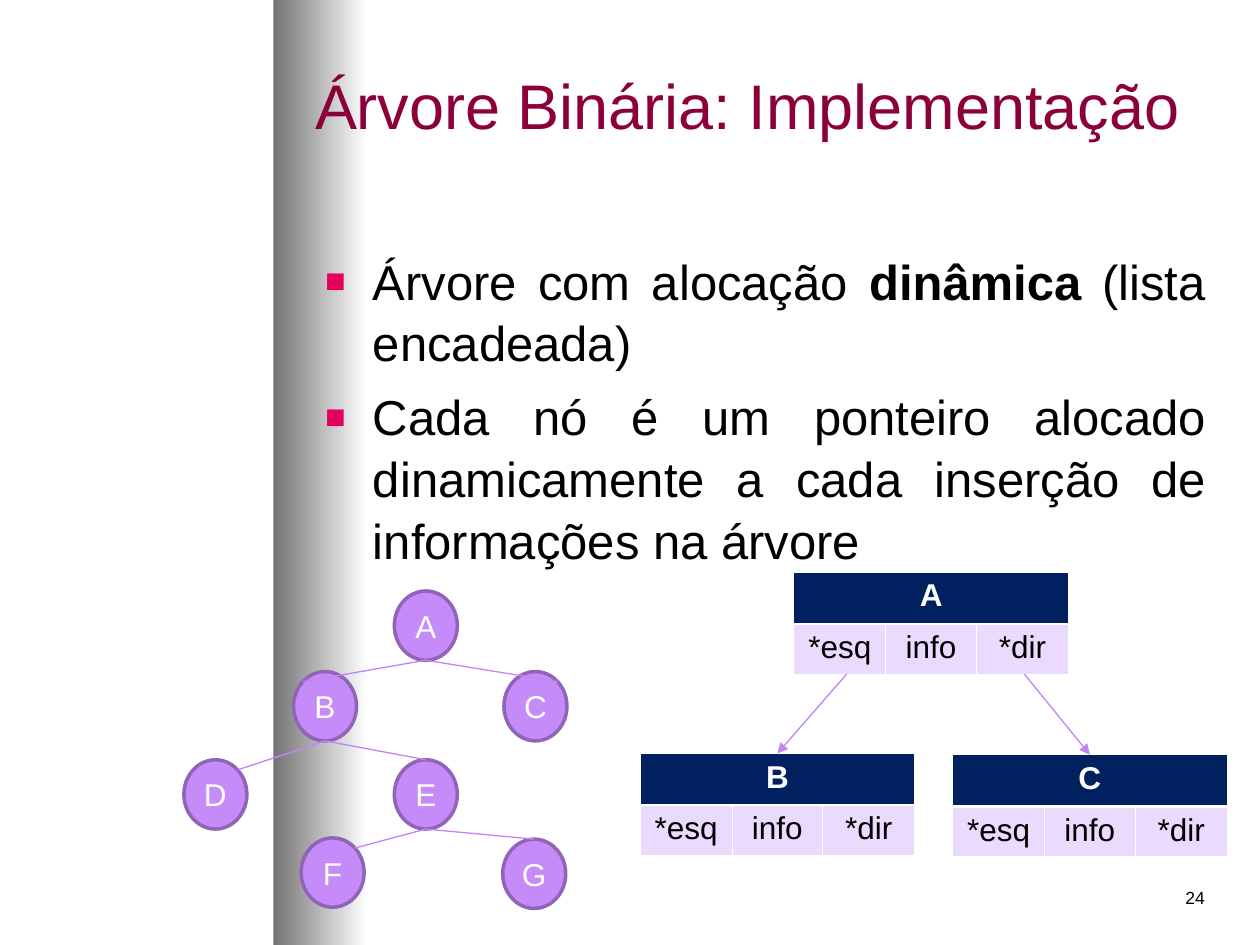
import lxml.etree
import pptx
import pptx.dml.color
import pptx.enum.shapes
import pptx.enum.text
import pptx.oxml.ns
import pptx.util

Inches, Pt, qn = pptx.util.Inches, pptx.util.Pt, pptx.oxml.ns.qn
ALIGN, ANCHOR = pptx.enum.text.PP_ALIGN, pptx.enum.text.MSO_ANCHOR
SHAPE = pptx.enum.shapes.MSO_SHAPE

COLORS = {
    "title": "8C0039", "text": "000000", "bullet": "E4005C", "white": "FFFFFF",
    "band": "747474", "node": "C58BF9", "node_line": "9065B7", "link": "C185F6",
    "header": "002060", "cell": "EADAFD",
}
FONT = "Arial"

TITLE = "Árvore Binária: Implementação"
BULLETS = [  # each item is a list of (text, bold)
    [("Árvore com alocação ", False), ("dinâmica", True), (" (lista encadeada)", False)],
    [("Cada nó é um ponteiro alocado dinamicamente a cada inserção de "
      "informações na árvore", False)],
]
PAGE_NUMBER = "24"

NODE_W, NODE_H = 0.5, 0.55
NODES = {  # left, top
    "A": (3.13, 4.69), "B": (2.33, 5.33), "C": (4, 5.33), "D": (1.46, 6.03),
    "E": (3.13, 6.03), "F": (2.39, 6.65), "G": (3.99, 6.66),
}
EDGES = [  # parent, child, where the child is met: -1 upper left, 0 top, 1 upper right
    ("A", "B", -1), ("A", "C", 1), ("B", "D", 1),
    ("B", "E", 0), ("E", "F", 1), ("E", "G", 0),
]

FIELDS = ["*esq", "info", "*dir"]
COL_WIDTHS, ROW_HEIGHTS = [0.73, 0.72, 0.73], [0.41, 0.4]
RECORDS = {"A": (6.3, 4.54), "B": (5.08, 5.98), "C": (7.56, 5.99)}
POINTERS = [("B", 0.42), ("C", 1.83)]  # target, start measured from the left of A


def rgb(name):
    return pptx.dml.color.RGBColor.from_string(COLORS[name])


def style(font, size, color, bold=False):
    font.name, font.size, font.bold = FONT, Pt(size), bold
    font.color.rgb = rgb(color)


def place(sp, left, top, width, height):
    sp.left, sp.top, sp.width, sp.height = map(Inches, (left, top, width, height))


def add_band(slide):
    sp = slide.shapes.add_shape(SHAPE.RECTANGLE, Inches(2.17), 0, Inches(0.75), Inches(7.5))
    sp.shadow.inherit = False
    sp.line.fill.background()
    sp.fill.gradient()
    sp.fill.gradient_angle = 0
    for stop, color, position in zip(sp.fill.gradient_stops, ("band", "white"), (0, 1)):
        stop.color.rgb, stop.position = rgb(color), position
    slide.shapes._spTree.insert(2, sp._element)  # behind the placeholders


def add_bullet(p):
    pPr = p._p.get_or_add_pPr()
    pPr.set("marL", str(Inches(0.38)))
    pPr.set("indent", str(-Inches(0.38)))
    color = lxml.etree.SubElement(pPr, qn("a:buClr"))
    lxml.etree.SubElement(color, qn("a:srgbClr"), val=COLORS["bullet"])
    lxml.etree.SubElement(pPr, qn("a:buSzPct"), val="70000")
    lxml.etree.SubElement(pPr, qn("a:buFont"), typeface=FONT)
    lxml.etree.SubElement(pPr, qn("a:buChar"), char="■")


def add_text(slide):
    title, body = slide.placeholders[0], slide.placeholders[1]
    place(title, 2.4, 0.05, 7.6, 1.55)
    title.text_frame.text = TITLE
    title.text_frame.vertical_anchor = ANCHOR.MIDDLE
    p = title.text_frame.paragraphs[0]
    p.alignment = ALIGN.LEFT
    style(p.runs[0].font, 36, "title")

    place(body, 2.48, 1.92, 7.19, 5.42)
    tf = body.text_frame
    tf.auto_size = pptx.enum.text.MSO_AUTO_SIZE.NONE
    for i, parts in enumerate(BULLETS):
        p = tf.add_paragraph() if i else tf.paragraphs[0]
        add_bullet(p)
        p.alignment, p.line_spacing = ALIGN.JUSTIFY, 1.05
        p.space_before = Pt(7 if i else 0)
        for text, bold in parts:
            r = p.add_run()
            r.text = text
            style(r.font, 28, "text", bold)

    tf = slide.shapes.add_textbox(*map(Inches, (7.58, 6.83, 2.08, 0.5))).text_frame
    tf.word_wrap = True
    tf.margin_top = Inches(0.21)
    tf.text = PAGE_NUMBER
    tf.paragraphs[0].alignment = ALIGN.RIGHT
    style(tf.paragraphs[0].runs[0].font, 10, "text")


def add_node(slide, name, left, top):
    sp = slide.shapes.add_shape(SHAPE.OVAL, *map(Inches, (left, top, NODE_W, NODE_H)))
    sp.shadow.inherit = False
    sp.fill.solid()
    sp.fill.fore_color.rgb = rgb("node")
    sp.line.color.rgb, sp.line.width = rgb("node_line"), Pt(2)
    tf = sp.text_frame
    tf.word_wrap = False
    tf.vertical_anchor = ANCHOR.MIDDLE
    tf.text = name
    tf.paragraphs[0].alignment = ALIGN.CENTER
    style(tf.paragraphs[0].runs[0].font, 18, "white")
    return sp


def add_link(slide, start, end, arrow=False):
    line = slide.shapes.add_connector(
        pptx.enum.shapes.MSO_CONNECTOR.STRAIGHT, *map(Inches, (*start, *end)))
    line.line.color.rgb, line.line.width = rgb("link"), Pt(0.75)
    if arrow:
        lxml.etree.SubElement(line.line._get_or_add_ln(), qn("a:tailEnd"), type="triangle")
    lxml.etree.SubElement(line._element.spPr, qn("a:effectLst"))
    return line


def add_tree(slide):
    nodes = {name: add_node(slide, name, *at) for name, at in NODES.items()}
    diagonal = 0.5 ** 0.5
    for parent, child, side in EDGES:
        (px, py), (cx, cy) = NODES[parent], NODES[child]
        rise = diagonal if side else 1
        end = (cx + NODE_W / 2 * (1 + side * diagonal), cy + NODE_H / 2 * (1 - rise))
        line = add_link(slide, (px + NODE_W / 2, py + NODE_H), end)
        if side == 0:
            line.end_connect(nodes[child], 0)


def fill_cell(cell, text, header):
    cell.text = text
    p = cell.text_frame.paragraphs[0]
    p.alignment = ALIGN.CENTER
    style(p.runs[0].font, 18, "white" if header else "text", header)


def paint_cell(cell, header):
    """Set white borders, thick between header and fields, then the fill."""
    tcPr = cell._tc.get_or_add_tcPr()
    thick = "lnB" if header else "lnT"
    for side in ("lnL", "lnR", "lnT", "lnB"):
        width = Pt(1.47 if side == thick else 0.45)
        ln = lxml.etree.SubElement(tcPr, qn("a:" + side), w=str(width))
        fill = lxml.etree.SubElement(ln, qn("a:solidFill"))
        lxml.etree.SubElement(fill, qn("a:srgbClr"), val=COLORS["white"])
    cell.fill.solid()
    cell.fill.fore_color.rgb = rgb("header" if header else "cell")


def add_record(slide, name, left, top):
    size = (sum(COL_WIDTHS), sum(ROW_HEIGHTS))
    table = slide.shapes.add_table(2, 3, *map(Inches, (left, top, *size))).table
    for col, width in zip(table.columns, COL_WIDTHS):
        col.width = Inches(width)
    for row, height in zip(table.rows, ROW_HEIGHTS):
        row.height = Inches(height)
    table.cell(0, 0).merge(table.cell(0, 2))
    fill_cell(table.cell(0, 0), name, True)
    for c, field in enumerate(FIELDS):
        fill_cell(table.cell(1, c), field, False)
        for r in range(2):
            paint_cell(table.cell(r, c), r == 0)


def main():
    prs = pptx.Presentation()
    prs.slide_width, prs.slide_height = Inches(10), Inches(7.5)
    slide = prs.slides.add_slide(prs.slide_layouts[1])
    add_band(slide)
    add_text(slide)
    add_tree(slide)
    for name, at in RECORDS.items():
        add_record(slide, name, *at)
    left, top = RECORDS["A"]
    for target, offset in POINTERS:
        x, y = RECORDS[target]
        add_link(slide, (left + offset, top + sum(ROW_HEIGHTS)),
                 (x + sum(COL_WIDTHS) / 2, y), arrow=True)
    prs.save("out.pptx")


if __name__ == "__main__":
    main()
